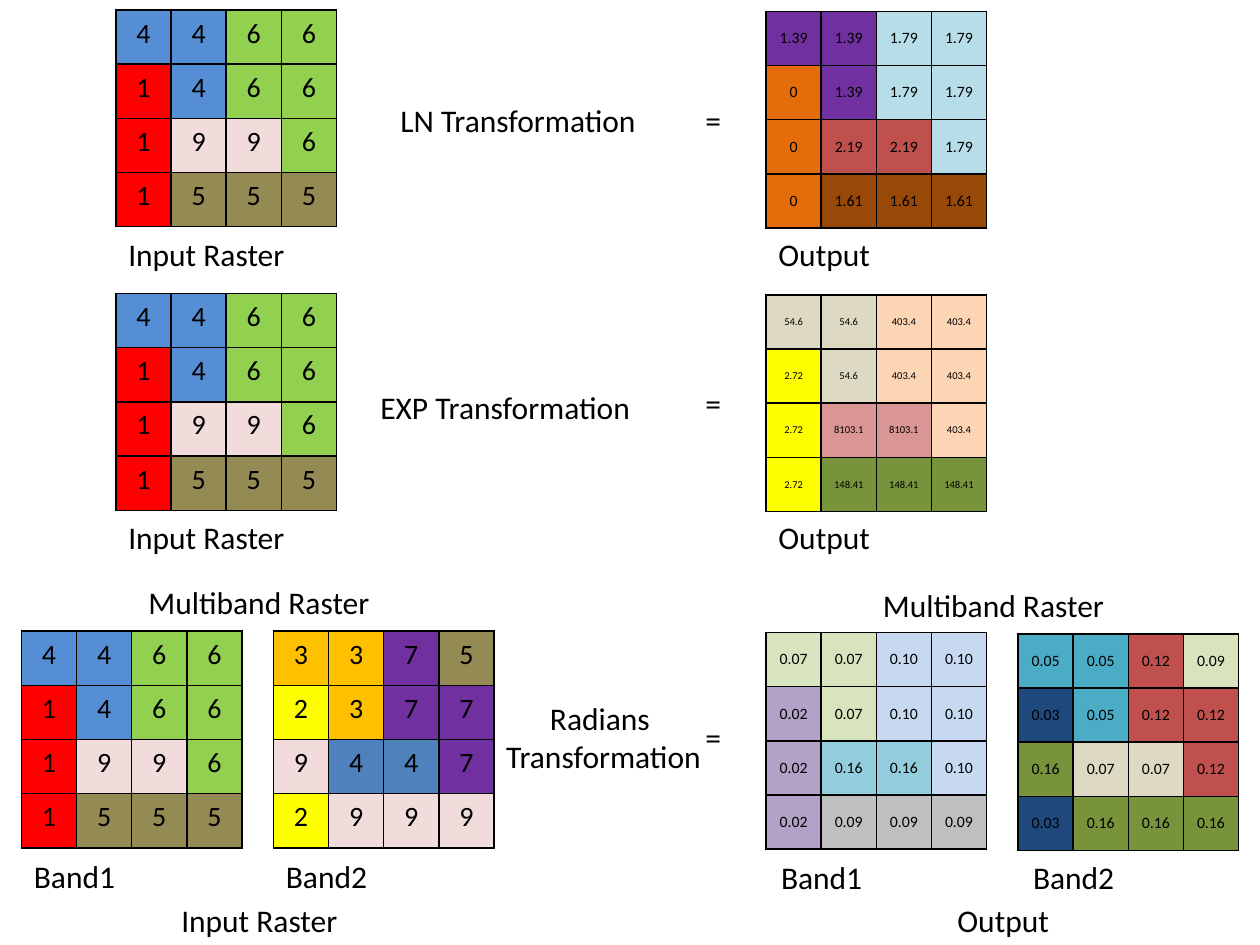
import dataclasses

import pptx
import pptx.dml.color
import pptx.enum.text
import pptx.oxml
import pptx.oxml.ns
import pptx.slide
import pptx.util
from pptx.util import Inches


@dataclasses.dataclass(frozen=True)
class Theme:
    font: str = "Calibri"
    ink: str = "000000"
    label_size: int = 18
    input_size: int = 16
    output_size: int = 9
    small_size: int = 6
    border_points: int = 1


@dataclasses.dataclass(frozen=True)
class Raster:
    left: float
    top: float
    values: str
    colors: dict[str, str]
    size: int
    middle: bool = True


@dataclasses.dataclass(frozen=True)
class Label:
    text: str
    left: float
    top: float
    width: float
    height: float = 0.4
    wrap: bool = True
    centered: bool = False


THEME = Theme()
GRID = 4
CELL_WIDTH = 1.75 / GRID
CELL_HEIGHT = 0.43

INPUT_VALUES = "4 4 6 6 / 1 4 6 6 / 1 9 9 6 / 1 5 5 5"
INPUT_COLORS = {"4": "558ED5", "6": "92D050", "1": "FF0000", "9": "F2DCDB", "5": "948A54"}
BAND2_COLORS = {"3": "FFC000", "7": "7030A0", "5": "948A54", "2": "FFFF00",
                "9": "F2DCDB", "4": "4F81BD"}
LN_COLORS = {"1.39": "7030A0", "1.79": "B7DEE8", "0": "E46C0A", "2.19": "C0504D",
             "1.61": "984807"}
EXP_COLORS = {"54.6": "DDD9C3", "403.4": "FCD5B5", "2.72": "FFFF00", "8103.1": "D99694",
              "148.41": "77933C"}
RADIANS1_COLORS = {"0.07": "D7E4BD", "0.10": "C6D9F1", "0.02": "B3A2C7", "0.16": "93CDDD",
                   "0.09": "BFBFBF"}
RADIANS2_COLORS = {"0.05": "4BACC6", "0.12": "C0504D", "0.09": "D7E4BD", "0.03": "1F497D",
                   "0.16": "77933C", "0.07": "DDD9C3"}

RASTERS = [
    *(Raster(left, top, INPUT_VALUES, INPUT_COLORS, THEME.input_size, False)
      for left, top in ((0.92, 0.08), (0.92, 2.33), (0.17, 5.01))),
    Raster(2.17, 5.01, "3 3 7 5 / 2 3 7 7 / 9 4 4 7 / 2 9 9 9",
           BAND2_COLORS, THEME.input_size, False),
    Raster(6.08, 0.09,
           "1.39 1.39 1.79 1.79 / 0 1.39 1.79 1.79 / 0 2.19 2.19 1.79 / 0 1.61 1.61 1.61",
           LN_COLORS, THEME.output_size),
    Raster(6.08, 2.34,
           "54.6 54.6 403.4 403.4 / 2.72 54.6 403.4 403.4 / "
           "2.72 8103.1 8103.1 403.4 / 2.72 148.41 148.41 148.41",
           EXP_COLORS, THEME.small_size),
    Raster(6.08, 5.02,
           "0.07 0.07 0.10 0.10 / 0.02 0.07 0.10 0.10 / "
           "0.02 0.16 0.16 0.10 / 0.02 0.09 0.09 0.09",
           RADIANS1_COLORS, THEME.output_size),
    Raster(8.08, 5.03,
           "0.05 0.05 0.12 0.09 / 0.03 0.05 0.12 0.12 / "
           "0.16 0.07 0.07 0.12 / 0.03 0.16 0.16 0.16",
           RADIANS2_COLORS, THEME.output_size),
]

LABELS = [
    Label("LN Transformation", 3.08, 0.75, 2.1),
    Label("EXP Transformation", 2.92, 3.03, 2.2, wrap=False),
    Label("Radians \nTransformation", 3.91, 5.5, 1.76, 0.71, wrap=False, centered=True),
    *(Label("=", 5.5, top, 0.33, wrap=False) for top in (0.75, 3, 5.65)),
    *(Label(text, left, top, 1.67)
      for top in (1.82, 4.06) for text, left in (("Input Raster", 0.92), ("Output", 6.08))),
    Label("Multiband Raster", 1.08, 4.58, 2.5),
    Label("Multiband Raster", 6.91, 4.6, 2.5),
    Label("Band1", 0.17, 6.75, 0.91),
    Label("Band2", 2.17, 6.75, 0.91),
    Label("Band1", 6.1, 6.76, 0.91),
    Label("Band2", 8.1, 6.76, 0.91),
    Label("Input Raster", 1.34, 7.1, 1.91),
    Label("Output", 7.5, 7.1, 1.08),
]


def rgb(color: str) -> pptx.dml.color.RGBColor:
    return pptx.dml.color.RGBColor.from_string(color)


def format_text(frame, size: int, centered: bool) -> None:
    for para in frame.paragraphs:
        if centered:
            para.alignment = pptx.enum.text.PP_ALIGN.CENTER
        for span in para.runs:
            span.font.name = THEME.font
            span.font.size = pptx.util.Pt(size)
            span.font.color.rgb = rgb(THEME.ink)


def add_borders(cell) -> None:
    """Line all four sides; must run before the fill, which follows lines in the XML."""
    properties = cell._tc.get_or_add_tcPr()
    width = pptx.util.Pt(THEME.border_points)
    for side in ("lnL", "lnR", "lnT", "lnB"):
        properties.append(pptx.oxml.parse_xml(
            f'<a:{side} {pptx.oxml.ns.nsdecls("a")} w="{width}"><a:solidFill>'
            f'<a:srgbClr val="{THEME.ink}"/></a:solidFill></a:{side}>'))


def add_raster(page: pptx.slide.Slide, raster: Raster) -> None:
    table = page.shapes.add_table(
        GRID, GRID, Inches(raster.left), Inches(raster.top),
        Inches(CELL_WIDTH * GRID), Inches(CELL_HEIGHT * GRID)).table
    table.first_row = False
    table.horz_banding = False
    for column in table.columns:
        column.width = Inches(CELL_WIDTH)
    for row, line in zip(table.rows, raster.values.split(" / ")):
        row.height = Inches(CELL_HEIGHT)
        for cell, value in zip(row.cells, line.split()):
            add_borders(cell)
            cell.fill.solid()
            cell.fill.fore_color.rgb = rgb(raster.colors[value])
            if raster.middle:
                cell.vertical_anchor = pptx.enum.text.MSO_ANCHOR.MIDDLE
            cell.text_frame.text = value
            format_text(cell.text_frame, raster.size, centered=True)


def add_label(page: pptx.slide.Slide, label: Label) -> None:
    box = page.shapes.add_textbox(Inches(label.left), Inches(label.top),
                                  Inches(label.width), Inches(label.height))
    frame = box.text_frame
    frame.word_wrap = label.wrap
    frame.auto_size = pptx.enum.text.MSO_AUTO_SIZE.SHAPE_TO_FIT_TEXT
    frame.text = label.text
    format_text(frame, THEME.label_size, label.centered)


def main() -> None:
    deck = pptx.Presentation()
    deck.slide_width = Inches(10)
    deck.slide_height = Inches(7.5)
    blank_layout = deck.slide_layouts[6]
    page = deck.slides.add_slide(blank_layout)
    for raster in RASTERS:
        add_raster(page, raster)
    for label in LABELS:
        add_label(page, label)
    deck.save("out.pptx")


if __name__ == "__main__":
    main()
